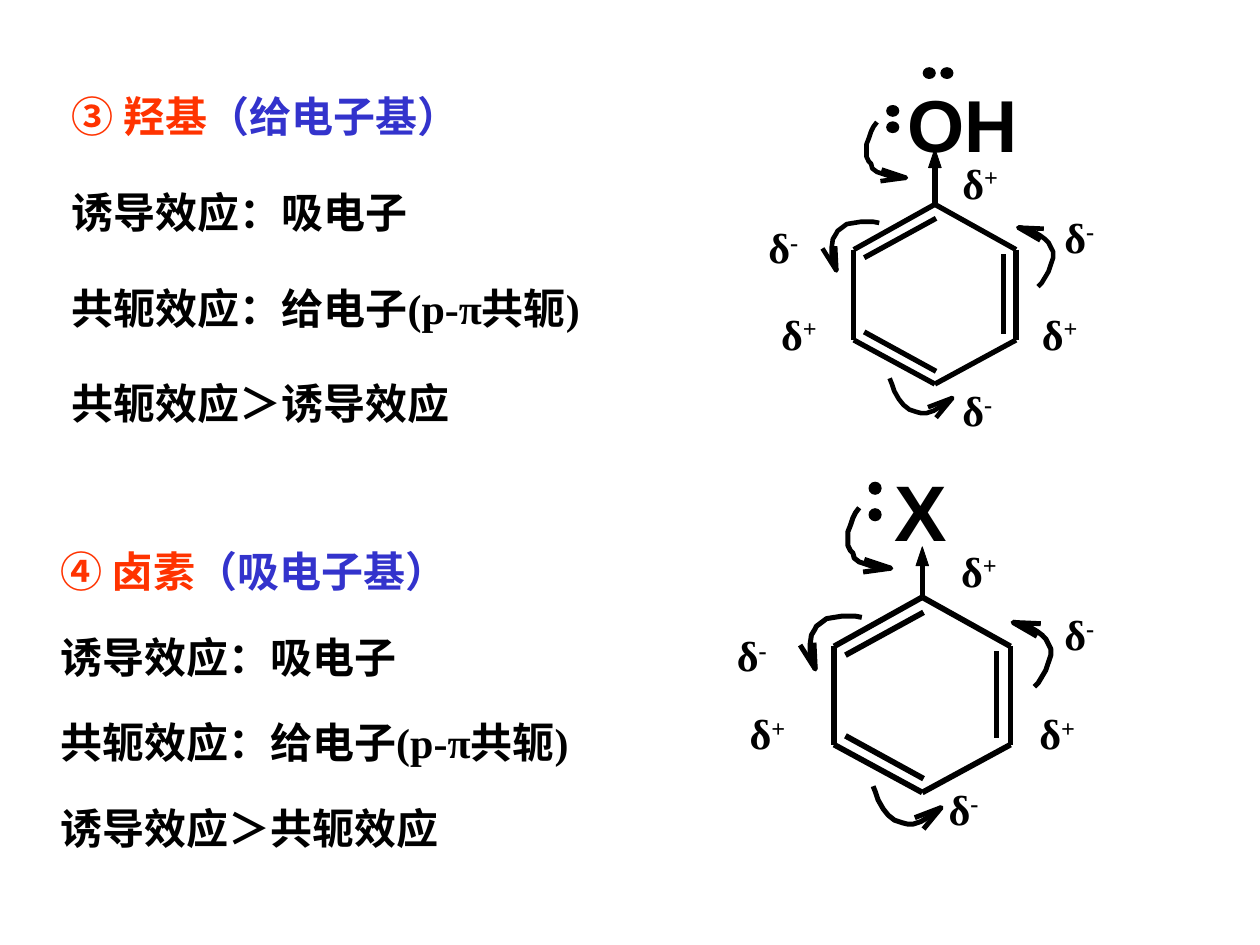
from lxml import etree
from pptx import Presentation
from pptx.dml.color import RGBColor
from pptx.enum import shapes, text
from pptx.oxml.ns import qn
from pptx.util import Inches, Pt

BLACK = RGBColor(0, 0, 0)
RED = RGBColor(0xFF, 0x33, 0x00)
BLUE = RGBColor(0x33, 0x33, 0xCC)
SERIF, SANS = "Times New Roman", "Arial"

# Ring parts in hundredths of an inch from the ring centre, at full size
HEXAGON = [(0, -78), (70, -39), (70, 39), (0, 77), (-70, 39), (-70, -39)]
INNER = [((59, -35), (59, 34)), ((-61, -32), (1, -66)), ((-61, 32), (1, 66))]

# Each curved arrow: its bow, then its head
ARROWS = [
    ([(89, -7), (92, -10), (95, -15), (98, -20), (100, -26), (102, -32),
      (102, -37), (100, -41), (98, -45), (95, -48), (91, -51), (86, -54),
      (80, -56), (74, -58), (72, -58)],
     [(91, -47), (72, -58), (94, -57)]),
    ([(-39, 72), (-37, 77), (-35, 83), (-31, 90), (-27, 95), (-22, 99),
      (-16, 101), (-12, 102), (-7, 102), (-1, 100), (4, 97), (10, 93),
      (15, 89)],
     [(-6, 97), (15, 89), (1, 106)]),
    ([(-48, -62), (-53, -63), (-64, -63), (-70, -62), (-76, -61),
      (-80, -58), (-84, -55), (-85, -53), (-88, -48), (-89, -41),
      (-89, -33), (-86, -25), (-85, -21)],
     [(-86, -42), (-85, -21), (-97, -40)]),
    ([(-50, -149), (-53, -145), (-55, -141), (-57, -135), (-59, -130),
      (-59, -119), (-57, -115), (-55, -113), (-54, -109), (-50, -106),
      (-44, -104), (-38, -102), (-31, -101), (-25, -101)],
     [(-46, -108), (-25, -101), (-47, -98)]),
]


def add_box(slide, x, y, w, h, inset=True):
    frame = slide.shapes.add_textbox(
        Inches(x), Inches(y), Inches(w), Inches(h)).text_frame
    frame.word_wrap = False
    frame.auto_size = text.MSO_AUTO_SIZE.SHAPE_TO_FIT_TEXT
    if not inset:
        frame.margin_left = frame.margin_right = 0
        frame.margin_top = frame.margin_bottom = 0
    return frame


def set_font(para, size, name=SERIF, color=BLACK):
    font = para.font
    font.size, font.name, font.bold = Pt(size), name, True
    font.color.rgb = color


def add_notes(slide, x, y, h, title, kind, lines, spacing):
    """Red and blue heading with widely spaced lines below."""
    frame = add_box(slide, x, y, 4.47, h)
    head = frame.paragraphs[0]
    set_font(head, 24)
    for words, color in ((title, RED), (kind, BLUE)):
        run = head.add_run()
        run.text = words
        run.font.color.rgb = color
    for line in lines:
        para = frame.add_paragraph()
        para.text = line
        para.line_spacing = spacing
        set_font(para, 24)


def add_charge(slide, x, y, sign):
    para = add_box(slide, x, y, 0.48 if sign == "+" else 0.44, 0.5).paragraphs[0]
    para.add_run().text = "δ"
    power = para.add_run()
    power.text = sign
    set_font(para, 24)
    power.font._element.set("baseline", "30000")


def add_atom(slide, label, x, y, w, h, size):
    para = add_box(slide, x, y, w, h, inset=False).paragraphs[0]
    para.text = label
    set_font(para, size, SANS)


def add_bond(slide, start, end, width):
    bond = slide.shapes.add_connector(
        shapes.MSO_CONNECTOR.STRAIGHT, *map(Inches, (*start, *end)))
    bond.line.color.rgb = BLACK
    bond.line.width = Pt(width)
    etree.SubElement(bond._element.spPr, qn("a:effectLst"))


def add_path(slide, points, width, solid=False):
    points = [(Inches(x), Inches(y)) for x, y in points]
    maker = slide.shapes.build_freeform(*points[0])
    maker.add_line_segments(points[1:], close=solid)
    path = maker.convert_to_shape()
    paint(path, width, solid)


def paint(shape, width, solid=True):
    shape.shadow.inherit = False
    if solid:
        shape.fill.solid()
        shape.fill.fore_color.rgb = BLACK
    else:
        shape.fill.background()
    shape.line.color.rgb = BLACK
    shape.line.width = Pt(width)


def add_dot(slide, x, y, w, h):
    dot = slide.shapes.add_shape(
        shapes.MSO_SHAPE.OVAL, Inches(x), Inches(y), Inches(w), Inches(h))
    paint(dot, 1)


def add_ring(slide, cx, cy, scale, tip):
    """Benzene ring, its curved arrows and a stem pointing up to tip."""
    def place(points):
        return [(cx + x * scale / 100, cy + y * scale / 100) for x, y in points]

    for bow, head in ARROWS:
        add_path(slide, place(bow), 2.86 * scale)
        add_path(slide, place(head), 2.86 * scale)
    sides = list(zip(HEXAGON, HEXAGON[1:] + HEXAGON[:1]))
    for side in sides + INNER:
        add_bond(slide, *place(side), 3.25 * scale)
    base = tip + 0.15
    add_bond(slide, (cx, base), place(HEXAGON)[0], 3)
    add_path(slide, [(cx, tip), (cx - 0.05, base), (cx + 0.05, base)], 0.5, True)


def main():
    deck = Presentation()
    deck.slide_width, deck.slide_height = Inches(10), Inches(7.5)
    slide = deck.slides.add_slide(deck.slide_layouts[6])

    pull, push = "诱导效应：吸电子", "共轭效应：给电子(p-π共轭)"
    add_notes(slide, 0.47, 0.67, 2.78, "③ 羟基", "（给电子基）",
              [pull, push, "共轭效应＞诱导效应"], 1.9)
    add_notes(slide, 0.38, 4.28, 2.54, "④ 卤素", "（吸电子基）",
              [pull, push, "诱导效应＞共轭效应"], 1.7)

    add_ring(slide, 7.42, 2.34, 0.92, 1.18)
    add_atom(slide, "OH", 7.2, 0.63, 0.88, 0.7, 42)
    for x, y in ((7.33, 0.54), (7.47, 0.54), (7.04, 0.84), (7.04, 0.97)):
        add_dot(slide, x, y, 0.09, 0.08)

    add_ring(slide, 7.32, 5.52, 1, 4.34)
    add_atom(slide, "X", 7.1, 3.67, 0.42, 0.75, 45)
    for y in (3.83, 4.04):
        add_dot(slide, 6.9, y, 0.09, 0.09)

    charges = {
        "+": [(7.54, 1.2), (6.1, 2.4), (8.17, 2.4),
              (7.53, 4.28), (5.85, 5.57), (8.15, 5.57)],
        "-": [(6, 1.71), (8.35, 1.63), (7.54, 3),
              (5.75, 4.95), (8.35, 4.78), (7.43, 6.17)],
    }
    for sign, spots in charges.items():
        for x, y in spots:
            add_charge(slide, x, y, sign)

    deck.save("out.pptx")


if __name__ == "__main__":
    main()
